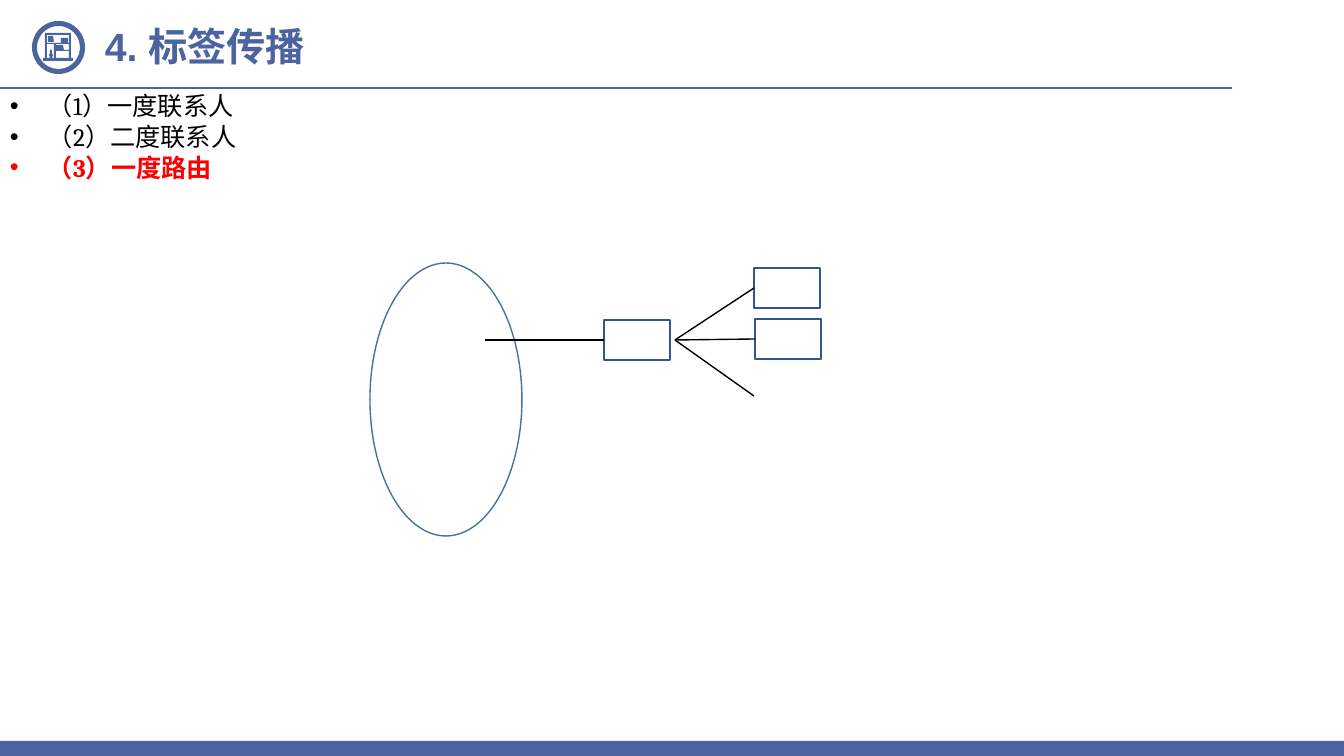
import pptx
import pptx.util
import pptx.dml.color
import pptx.enum.shapes
import pptx.enum.text
import pptx.oxml
import pptx.oxml.ns

RGBColor = pptx.dml.color.RGBColor
SHAPE = pptx.enum.shapes.MSO_SHAPE
STRAIGHT = pptx.enum.shapes.MSO_CONNECTOR.STRAIGHT
ANCHOR = pptx.enum.text.MSO_ANCHOR

PX = 914400 / 100.8
WIDTH, HEIGHT = 1344, 756

BLUE = RGBColor(0x4B, 0x64, 0x9F)
OVAL_BLUE = RGBColor(0x43, 0x73, 0x9E)
BOX_BLUE = RGBColor(0x32, 0x54, 0x91)
BLACK = RGBColor(0, 0, 0)
RED = RGBColor(0xFF, 0, 0)
WHITE = RGBColor(0xFF, 0xFF, 0xFF)
CJK_FONT = "Noto Sans CJK SC"


def px(*lengths):
    return [pptx.util.Emu(round(length * PX)) for length in lengths]


def add_element(parent, tag, **attributes):
    element = pptx.oxml.parse_xml(f"<a:{tag} {pptx.oxml.ns.nsdecls('a')}/>")
    for name, value in attributes.items():
        element.set(name, str(value))
    parent.append(element)


def paint(shape, fill=None, line=None, weight=1):
    shape.shadow.inherit = False
    if fill is None:
        shape.fill.background()
    else:
        shape.fill.solid()
        shape.fill.fore_color.rgb = fill
    if line is None:
        shape.line.fill.background()
    else:
        shape.line.color.rgb = line
        shape.line.width = pptx.util.Pt(weight)
    return shape


def add_shape(page, kind, left, top, width, height, **style):
    return paint(page.shapes.add_shape(kind, *px(left, top, width, height)), **style)


def add_line(page, start, end, color=BLACK, weight=1, begin_box=None, end_box=None):
    line = page.shapes.add_connector(STRAIGHT, *px(*start, *end))
    if begin_box is not None:
        line.begin_connect(begin_box, 1)
    if end_box is not None:
        line.end_connect(end_box, 1)
    line.line.color.rgb = color
    line.line.width = pptx.util.Pt(weight)
    add_element(line._element.spPr, "effectLst")


def add_text(page, box, paragraphs, size, anchor=ANCHOR.TOP, spacing=0.9, gap=0, hang=0):
    """Each paragraph is a list of (text, font, color, bold) spans."""
    frame = page.shapes.add_textbox(*px(*box)).text_frame
    frame.word_wrap = True
    frame.vertical_anchor = anchor
    for index, spans in enumerate(paragraphs):
        para = frame.paragraphs[0] if index == 0 else frame.add_paragraph()
        if hang:
            indent = px(hang)[0]
            properties = para._p.get_or_add_pPr()
            properties.set("marL", str(indent))
            properties.set("indent", str(-indent))
            add_element(properties, "buFont", typeface="Arial")
            add_element(properties, "buChar", char="•")
        para.line_spacing = spacing
        para.space_before = pptx.util.Pt(gap if index else 0)
        para.space_after = pptx.util.Pt(gap)
        for text, font, color, bold in spans:
            span = para.add_run()
            span.text = text
            span.font.name = font
            span.font.size = pptx.util.Pt(size)
            span.font.bold = bold
            span.font.color.rgb = color
            add_element(span._r.get_or_add_rPr(), "ea", typeface=CJK_FONT)


def rectangle(left, top, right, bottom):
    return [(left, top), (right, top), (right, bottom), (left, bottom)]


def draw_icon(page, left, top):
    # Ring
    for inset, fill in ((0, BLUE), (3, WHITE)):
        side = 51 - 2 * inset
        add_shape(page, SHAPE.OVAL, left + inset, top + inset, side, side,
                  fill=fill, line=BLUE, weight=1.5)
    # Bookcase: frame, openings, then the things on the shelves
    contours = [
        [(12, 11), (38, 11), (38, 36), (40, 36), (40, 39), (10, 39), (10, 36), (12, 36)],
        rectangle(14, 13, 36, 21),
        rectangle(14, 22, 21, 36),
        rectangle(23, 22, 36, 28),
        rectangle(23, 29, 36, 36),
        [(15, 14), (20, 14), (21, 20), (15, 20)],
        rectangle(28, 16, 35, 21),
        [(23, 23), (30, 23), (31, 28), (23, 28)],
        [(17, 28), (19, 28), (19, 31), (20, 33), (19, 36), (17, 36), (16, 33), (17, 31)],
    ]
    builder = page.shapes.build_freeform(*contours[0][0], scale=PX)
    for index, contour in enumerate(contours):
        if index:
            builder.move_to(*contour[0])
        builder.add_line_segments(contour[1:], close=True)
    paint(builder.convert_to_shape(*px(left, top)), fill=BLUE)


def draw_header(page, left, top, width, height):
    add_line(page, (left, top + height), (left + width, top + height), BLUE, 2)
    draw_icon(page, left + 33, top + 22)
    add_text(page, (left + 95, top + 22, 1197, 53),
             [[("4. 标签传播", "Arial", BLUE, True)]], 28, anchor=ANCHOR.MIDDLE)


def draw_list(page, left, top, width, height):
    paragraphs = [
        [("（", CJK_FONT, BLACK, False), (number, "Cambria", BLACK, False),
         (f"）{label}", CJK_FONT, BLACK, False)]
        for number, label in (("1", "一度联系人"), ("2", "二度联系人"))
    ]
    paragraphs.append([("（3）一度路由", "Cambria", RED, True)])
    add_text(page, (left, top, width, height), paragraphs, 18,
             spacing=0.85, gap=1.8, hang=38)


def draw_network(page, left, top, width, height):
    add_shape(page, SHAPE.OVAL, left, top, 152, height, line=OVAL_BLUE)

    def add_node(x, y):
        return add_shape(page, SHAPE.RECTANGLE, left + x, top + y, 66, 40, line=BOX_BLUE)

    # Router and the line that reaches it
    router = add_node(234, 57)
    hub_y = top + 77
    add_line(page, (left + 115, hub_y), (left + 234, hub_y), weight=1.5, end_box=router)

    # Fan of routes
    hub = (left + 305, hub_y)
    for x, y in ((384, 5), (385, 56)):
        add_line(page, hub, (left + x, top + y + 20), end_box=add_node(x, y))
    add_line(page, hub, (left + width - 66, top + 133))


def main():
    deck = pptx.Presentation()
    deck.slide_width, deck.slide_height = px(WIDTH, HEIGHT)
    page = deck.slides.add_slide(deck.slide_layouts[6])
    add_shape(page, SHAPE.RECTANGLE, 0, HEIGHT - 15, WIDTH, 15, fill=BLUE)
    draw_header(page, 0, 0, 1232, 88)
    draw_list(page, 0, 90, 334, 146)
    draw_network(page, 370, 263, 450, 273)
    deck.save("out.pptx")


if __name__ == "__main__":
    main()
